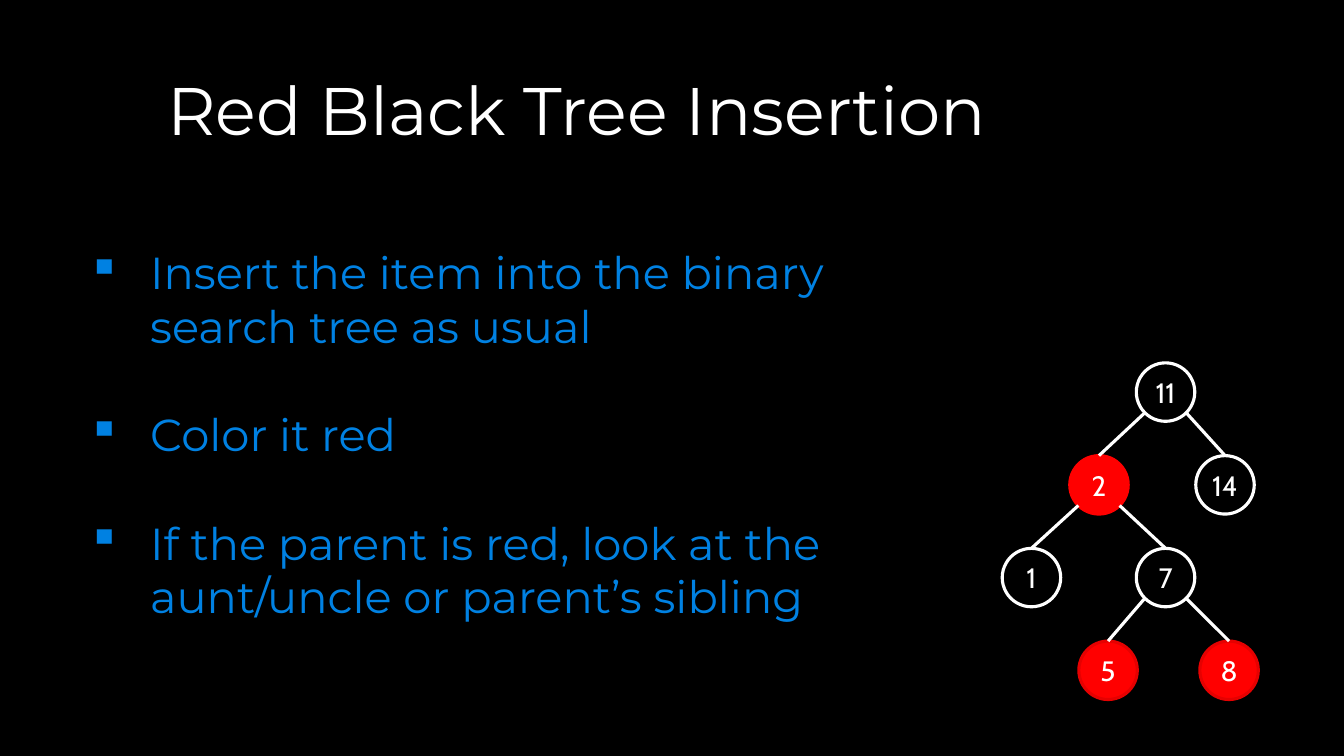
from dataclasses import dataclass
from math import sqrt

from lxml.etree import SubElement
from pptx import Presentation
from pptx.dml.color import RGBColor
from pptx.enum.shapes import MSO_CONNECTOR, MSO_SHAPE
from pptx.enum.text import MSO_ANCHOR, MSO_AUTO_SIZE, PP_ALIGN
from pptx.oxml.ns import qn
from pptx.util import Inches, Pt


@dataclass(frozen=True)
class Theme:
    black: RGBColor = RGBColor(0x00, 0x00, 0x00)
    white: RGBColor = RGBColor(0xFF, 0xFF, 0xFF)
    red: RGBColor = RGBColor(0xFF, 0x00, 0x00)
    leaf_outline: RGBColor = RGBColor(0xE6, 0x00, 0x00)
    blue: RGBColor = RGBColor(0x00, 0x81, 0xE2)
    text_font: str = "Montserrat"
    node_font: str = "Cabin"
    title_size: int = 48
    step_size: int = 32
    node_size: int = 20
    stroke: float = 2.25


THEME = Theme()

STEPS = [
    "Insert the item into the binary search tree as usual",
    "Color it red",
    "If the parent is red, look at the aunt/uncle or parent’s sibling",
]
STEP_GAP = 39
STEP_INDENT = 0.62

DIAMETER = 0.58
ROOT_Y = 3.89
LEVEL_GAP = 0.92

TREE = {
    11: (11.56, 0, THEME.black, THEME.white),
    2: (10.9, 1, THEME.red, THEME.red),
    14: (12.15, 1, THEME.black, THEME.white),
    5: (10.99, 3, THEME.red, THEME.leaf_outline),
    8: (12.19, 3, THEME.red, THEME.leaf_outline),
    7: (11.56, 2, THEME.black, THEME.white),
    1: (10.23, 2, THEME.black, THEME.white),
}
EDGES = [(11, 2), (11, 14), (2, 1), (2, 7), (7, 5), (7, 8)]


def apply_format(target, values):
    for attribute, value in values.items():
        setattr(target, attribute, value)


def write(paragraph, text, font, size, color):
    run = paragraph.add_run()
    run.text = text
    apply_format(run.font, {"name": font, "size": Pt(size)})
    run.font.color.rgb = color


def add_text_frame(slide, left, top, width, height, values):
    box = slide.shapes.add_textbox(
        Inches(left), Inches(top), Inches(width), Inches(height)
    )
    apply_format(box.text_frame, {"word_wrap": True, **values})
    return box.text_frame


def add_title(slide, title):
    heading = add_text_frame(
        slide, 0.45, 0.09, 10.54, 1.45, {"vertical_anchor": MSO_ANCHOR.BOTTOM}
    ).paragraphs[0]
    apply_format(heading, {"alignment": PP_ALIGN.CENTER, "line_spacing": 0.9})
    write(heading, title, THEME.text_font, THEME.title_size, THEME.white)


def add_bullet(paragraph):
    properties = paragraph._p.get_or_add_pPr()
    indent = Inches(STEP_INDENT)
    properties.set("marL", str(indent))
    properties.set("indent", str(-indent))
    SubElement(properties, qn("a:buChar")).set("char", "▪")


def add_steps(slide, steps):
    frame = add_text_frame(
        slide, 0.77, 2.38, 8.75, 3.87,
        {"auto_size": MSO_AUTO_SIZE.SHAPE_TO_FIT_TEXT},
    )
    for index, step in enumerate(steps):
        paragraph = frame.add_paragraph() if index else frame.paragraphs[0]
        paragraph.space_before = Pt(STEP_GAP if index else 0)
        add_bullet(paragraph)
        write(paragraph, step, THEME.text_font, THEME.step_size, THEME.blue)


def center(key):
    x, level, *_ = TREE[key]
    return x, ROOT_Y + level * LEVEL_GAP


def add_node(tree, key):
    x, y = center(key)
    fill, outline = TREE[key][2:]
    radius = DIAMETER / 2
    node = tree.shapes.add_shape(
        MSO_SHAPE.OVAL, Inches(x - radius), Inches(y - radius),
        Inches(DIAMETER), Inches(DIAMETER),
    )
    node.shadow.inherit = False
    node.fill.solid()
    node.fill.fore_color.rgb = fill
    node.line.color.rgb = outline
    node.line.width = Pt(THEME.stroke)
    apply_format(node.text_frame, {
        "margin_left": 0,
        "margin_right": 0,
        "vertical_anchor": MSO_ANCHOR.MIDDLE,
    })
    label = node.text_frame.paragraphs[0]
    label.alignment = PP_ALIGN.CENTER
    write(label, str(key), THEME.node_font, THEME.node_size, THEME.white)


def add_edge(tree, parent, child):
    parent_x, parent_y = center(parent)
    child_x, child_y = center(child)
    radius = DIAMETER / 2
    offset = radius / sqrt(2)
    side = 1 if child_x > parent_x else -1
    edge = tree.shapes.add_connector(
        MSO_CONNECTOR.STRAIGHT,
        Inches(parent_x + side * offset), Inches(parent_y + offset),
        Inches(child_x), Inches(child_y - radius),
    )
    edge.line.color.rgb = THEME.white
    edge.line.width = Pt(THEME.stroke)
    SubElement(edge._element.spPr, qn("a:effectLst"))


def add_tree(slide):
    tree = slide.shapes.add_group_shape()
    for key in TREE:
        add_node(tree, key)
    for parent, child in EDGES:
        add_edge(tree, parent, child)


def main():
    deck = Presentation()
    apply_format(deck, {"slide_width": Inches(13.33), "slide_height": Inches(7.5)})
    slide = deck.slides.add_slide(deck.slide_layouts[6])
    slide.background.fill.solid()
    slide.background.fill.fore_color.rgb = THEME.black
    add_tree(slide)
    add_steps(slide, STEPS)
    add_title(slide, "Red Black Tree Insertion")
    deck.save("out.pptx")


if __name__ == "__main__":
    main()
